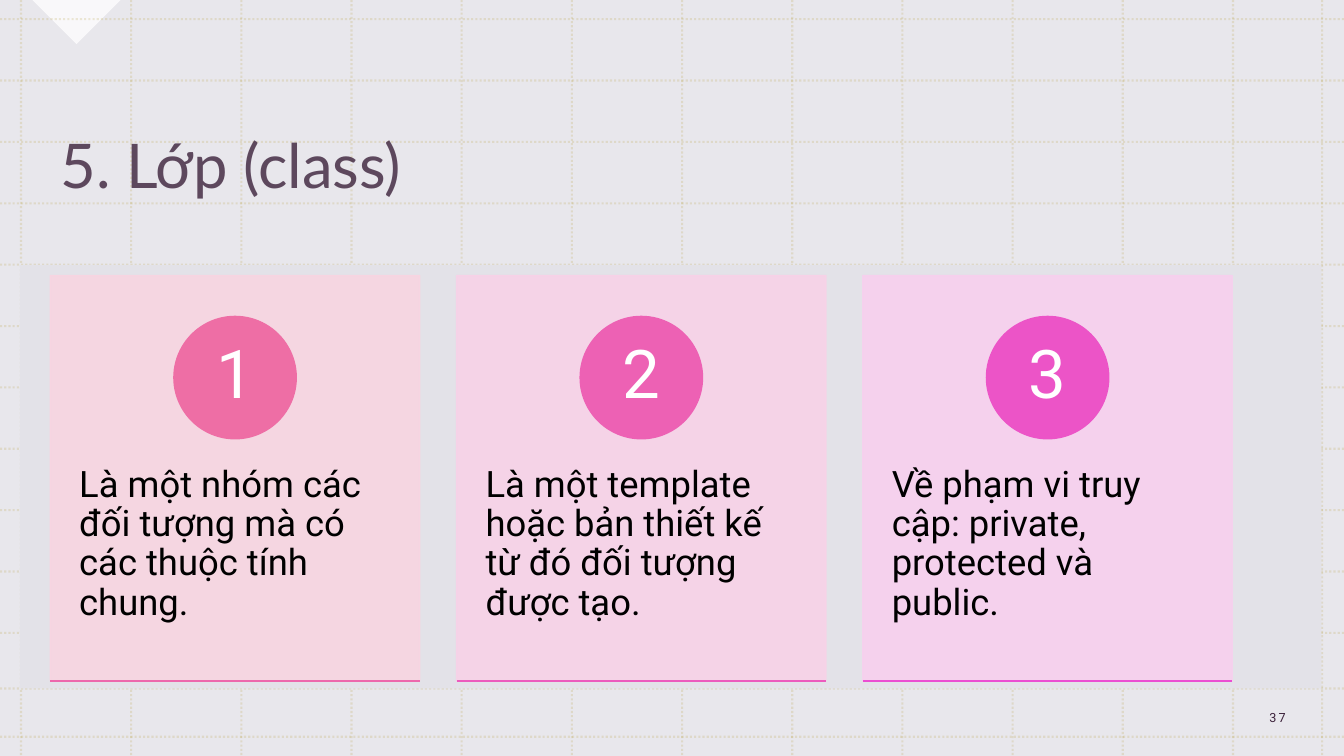
"""Build the slide on classes: a dotted grid, a title and three numbered cards."""
from dataclasses import dataclass

from pptx import Presentation
from pptx import util as u
from pptx.dml.color import RGBColor
from pptx.enum import dml, shapes, text
from pptx.oxml import ns
from pptx.oxml.xmlchemy import OxmlElement

Pt = u.Pt


@dataclass(frozen=True)
class Theme:
    """Colours, fonts and type sizes of the slide."""
    white: str = "FFFFFF"
    black: str = "000000"
    lavender: str = "E3E2E8"
    grid: str = "B6A03C"
    plum: str = "3B213A"
    heading_font: str = "Lato"
    body_font: str = "Roboto"
    title_size: int = 44
    number_size: int = 48
    body_size: int = 26
    page_size: int = 9


THEME = Theme()
WIDTH, HEIGHT = 960, 540
CARD_LEFT, CARD_TOP, CARD_WIDTH, CARD_HEIGHT = 36, 196.8, 263.8, 289.6
CARD_STEP = 290.2
BADGE_SIZE, BADGE_TOP = 87.4, 226
CARDS = [
    ("Là một nhóm các đối tượng mà có các thuộc tính chung.",
     "F8D5E1", "EE6EA5", "ED68AC"),
    ("Là một template hoặc bản thiết kế từ đó đối tượng được tạo.",
     "F8D2E7", "ED61B4", "EC5BBD"),
    ("Về phạm vi truy cập: private, protected và public.",
     "F7D0EE", "EC54C7", "EB4ED2"),
]


def set_opacity(element, percent):
    """Make every plain colour inside the element translucent."""
    for colour in element.iter(ns.qn("a:srgbClr")):
        alpha = OxmlElement("a:alpha")
        alpha.set("val", str(percent * 1000))
        colour.append(alpha)


def add_panel(slide, kind, box, fill, opacity=100, outline=None):
    """Add a filled preset shape, outlined on request."""
    panel = slide.shapes.add_shape(kind, *map(Pt, box))
    panel.shadow.inherit = False
    panel.fill.solid()
    panel.fill.fore_color.rgb = RGBColor.from_string(fill)
    if outline:
        panel.line.color.rgb = RGBColor.from_string(outline)
        panel.line.width = Pt(1)
    else:
        panel.line.fill.background()
    if opacity < 100:
        set_opacity(panel._element.spPr, opacity)
    return panel


def add_rule(slide, start, end, colour, weight):
    """Add a straight line without shadow."""
    rule = slide.shapes.add_connector(
        shapes.MSO_CONNECTOR.STRAIGHT, *map(Pt, (*start, *end)))
    rule.line.color.rgb = RGBColor.from_string(colour)
    rule.line.width = Pt(weight)
    rule._element.spPr.append(OxmlElement("a:effectLst"))
    return rule


def add_label(slide, box, wording, font, size, colour, insets=(7.2, 3.6),
              align=text.PP_ALIGN.LEFT, anchor=text.MSO_ANCHOR.MIDDLE, spacing=0.9):
    """Add a one-paragraph text box and return its run."""
    frame = slide.shapes.add_textbox(*map(Pt, box)).text_frame
    frame.word_wrap = True
    frame.vertical_anchor = anchor
    frame.margin_left = frame.margin_right = Pt(insets[0])
    frame.margin_top = frame.margin_bottom = Pt(insets[1])
    frame.text = wording
    paragraph = frame.paragraphs[0]
    paragraph.alignment = align
    paragraph.line_spacing = spacing
    run = paragraph.runs[0]
    run.font.name = font
    run.font.size = Pt(size)
    run.font.color.rgb = RGBColor.from_string(colour)
    return run


def add_grid(slide):
    """Draw the dotted background grid."""
    columns = [15 + 78.7 * i for i in range(12)] + [944.4]
    rows = [13.7 + 43.84 * i for i in range(11)] + [491.8, 526.3]
    ends = [((x, 0), (x, HEIGHT)) for x in columns]
    ends += [((0, y), (WIDTH, y)) for y in rows]
    for start, end in ends:
        rule = add_rule(slide, start, end, THEME.grid, 1.5)
        rule.line.dash_style = dml.MSO_LINE.ROUND_DOT
        set_opacity(rule._element.spPr, 20)


def add_card(slide, index, wording, tint, badge_colour, rule_colour):
    """Add one card with its numbered badge, wording and bottom rule."""
    left = CARD_LEFT + CARD_STEP * index
    bottom = CARD_TOP + CARD_HEIGHT
    add_panel(slide, shapes.MSO_SHAPE.RECTANGLE,
              (left, CARD_TOP, CARD_WIDTH, CARD_HEIGHT), tint, 90, tint)
    add_label(slide, (left, 306.8, CARD_WIDTH, 173.6), wording, THEME.body_font,
              THEME.body_size, THEME.black, (20.6, 25.9),
              anchor=text.MSO_ANCHOR.TOP)
    badge_left = left + (CARD_WIDTH - BADGE_SIZE) / 2
    badge = (badge_left, BADGE_TOP, BADGE_SIZE, BADGE_SIZE)
    add_panel(slide, shapes.MSO_SHAPE.OVAL, badge, badge_colour,
              outline=badge_colour)
    add_label(slide, (badge_left + 13, BADGE_TOP + 12.5, 61.4, 61.4),
              str(index + 1), THEME.body_font, THEME.number_size, THEME.white,
              (6.8, 1), text.PP_ALIGN.CENTER)
    add_rule(slide, (left, bottom), (left + CARD_WIDTH, bottom), rule_colour, 1)


def main():
    """Compose and save the slide."""
    deck = Presentation()
    deck.slide_width, deck.slide_height = Pt(WIDTH), Pt(HEIGHT)
    slide = deck.slides.add_slide(deck.slide_layouts[6])
    rectangle = shapes.MSO_SHAPE.RECTANGLE
    add_panel(slide, rectangle, (0, 0, WIDTH, HEIGHT), THEME.lavender, 80)
    corner = add_panel(slide, shapes.MSO_SHAPE.RIGHT_TRIANGLE,
                       (32.4, -22.3, 44.6, 44.6), THEME.white, 75)
    corner.rotation = 315
    add_grid(slide)
    title = add_label(slide, (36, 56.9, 846, 126.7), "5. Lớp (class)",
                      THEME.heading_font, THEME.title_size, THEME.plum)
    set_opacity(title._r, 80)
    add_panel(slide, rectangle, (14.4, 189.4, 929.5, 302.4), THEME.lavender)
    page = add_label(slide, (881.3, 498.2, 62.6, 28.8), "37", THEME.body_font,
                     THEME.page_size, THEME.plum,
                     align=text.PP_ALIGN.CENTER, spacing=1.0)
    page._r.get_or_add_rPr().set("spc", "150")
    for index, card in enumerate(CARDS):
        add_card(slide, index, *card)
    deck.save("out.pptx")


if __name__ == "__main__":
    main()
